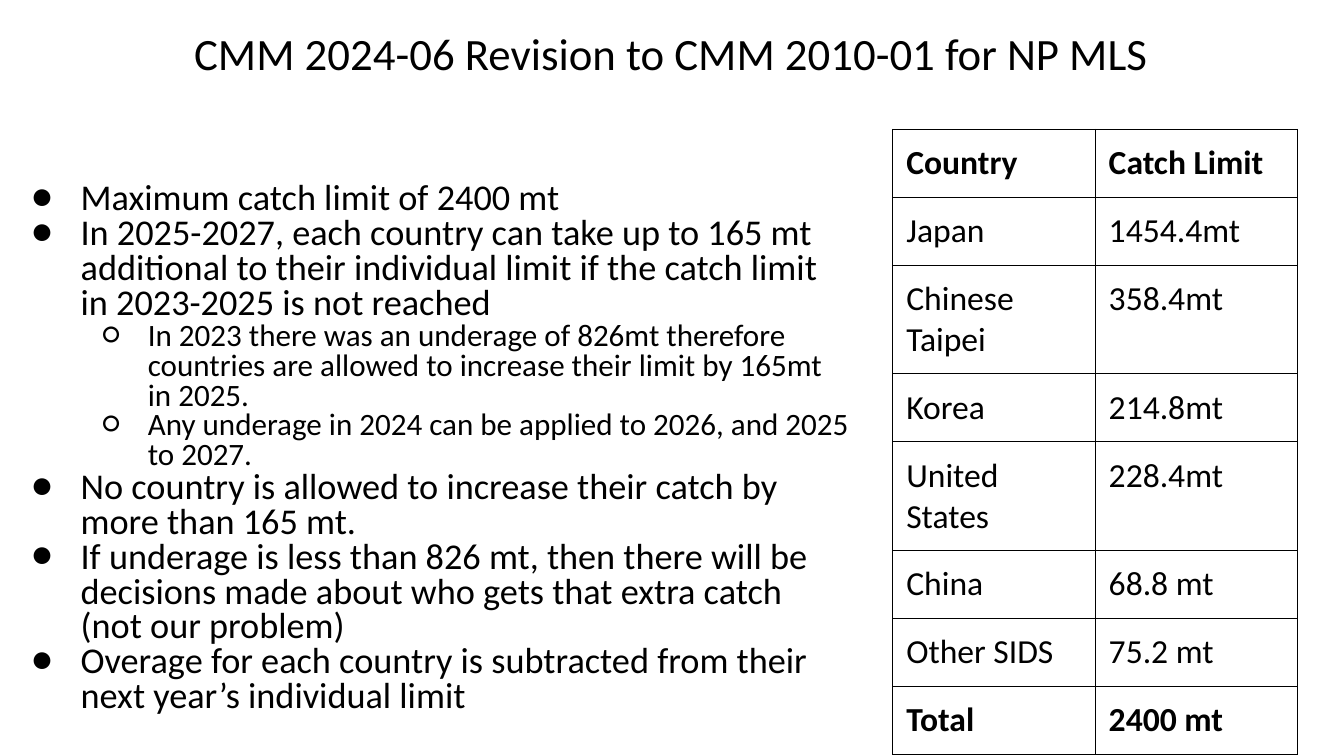
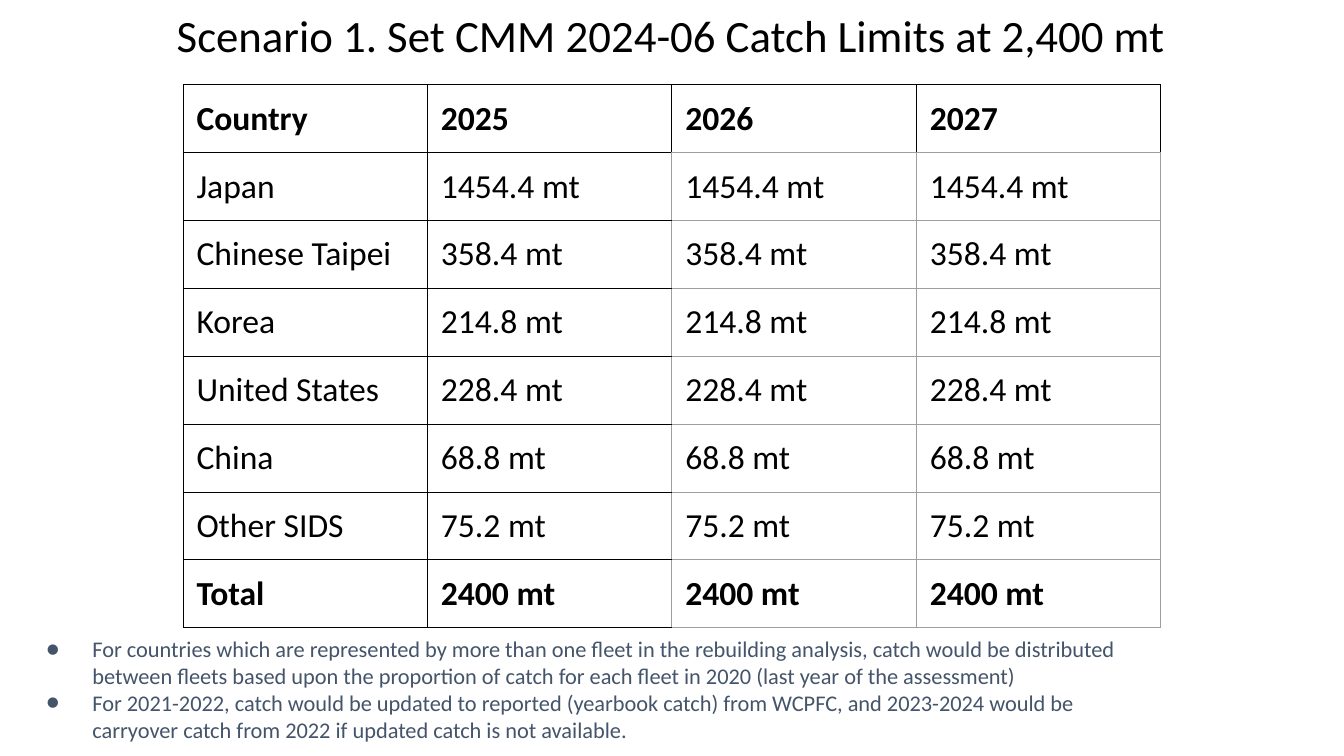
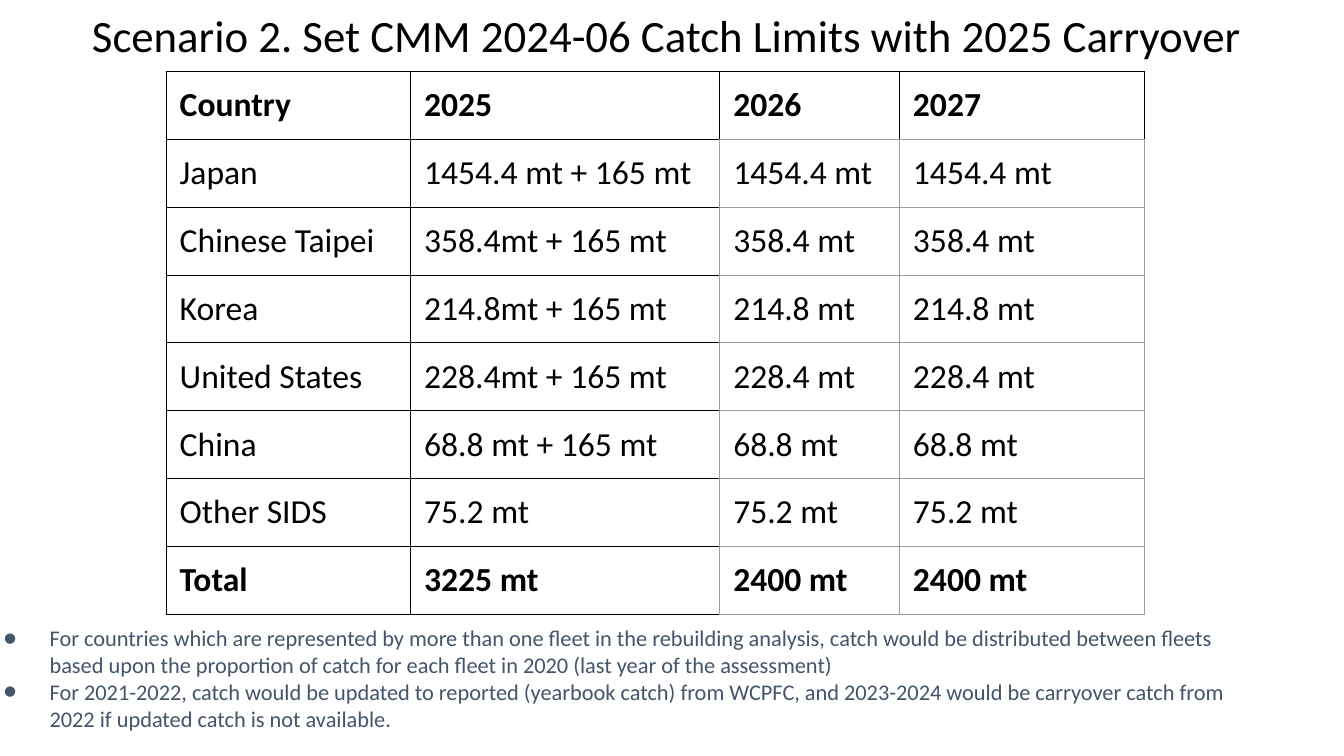
from lxml import etree
from pptx import Presentation
from pptx.dml.color import RGBColor
from pptx.enum.text import MSO_ANCHOR, MSO_AUTO_SIZE, PP_ALIGN
from pptx.oxml.ns import qn
from pptx.util import Pt

PX = 7620  # 120 px to the inch
TOP, CENTER, NO_FIT = MSO_ANCHOR.TOP, PP_ALIGN.CENTER, MSO_AUTO_SIZE.NONE
FONT = "Calibri"
COLORS = {"text": "000000", "note": "44546A", "grid": "000000", "soft_grid": "9E9E9E"}
INSET = 16
ROW, TALL_ROW = 80, 128
LINE_WIDTH = 9525


def style(paragraph, size, color="text", bold=False):
    font = paragraph.font
    font.name, font.size, font.bold = FONT, Pt(size), bold
    font.color.rgb = RGBColor.from_string(COLORS[color])


def prepare(box, place):
    """Place a text shape, fix its insets and return its text frame."""
    box.left, box.top, box.width, box.height = (n * PX for n in place)
    frame = box.text_frame
    frame.word_wrap, frame.auto_size, frame.vertical_anchor = True, NO_FIT, TOP
    frame.margin_left = frame.margin_right = INSET * PX
    frame.margin_top = frame.margin_bottom = INSET * PX
    return frame


countries = ["Japan", "Chinese Taipei", "Korea", "United States", "China", "Other SIDS"]
limits = ["1454.4 mt", "358.4 mt", "214.8 mt", "228.4 mt", "68.8 mt", "75.2 mt"]
names = ["Country", *countries, "Total"]
plain_years = [[year, *limits, "2400 mt"] for year in ("2025", "2026", "2027")]
carryover = ["2025", "1454.4 mt + 165 mt", "358.4mt + 165 mt", "214.8mt + 165 mt",
             "228.4mt + 165 mt", "68.8 mt + 165 mt", "75.2 mt", "3225 mt"]

# Bullet kinds: symbol, level, indent, hanging, size, line spacing, colour
POINT = ("●", 0, 80, 59, 25.9, 0.8, "text")
SUBPOINT = ("○", 1, 160, 54, 22.2, 0.8, "text")
NOTE = ("●", 0, 80, 55, 16, 1.0, "note")

rules = [
    (POINT, "Maximum catch limit of 2400 mt"),
    (POINT, "In 2025-2027, each country can take up to 165 mt additional to their "
            "individual limit if the catch limit in 2023-2025 is not reached"),
    (SUBPOINT, "In 2023 there was an underage of 826mt therefore countries are allowed "
               "to increase their limit by 165mt in 2025."),
    (SUBPOINT, "Any underage in 2024 can be applied to 2026, and 2025 to 2027."),
    (POINT, "No country is allowed to increase their catch by more than 165 mt."),
    (POINT, "If underage is less than 826 mt, then there will be decisions made about "
            "who gets that extra catch (not our problem)"),
    (POINT, "Overage for each country is subtracted from their next year’s individual limit"),
]
notes = [
    (NOTE, "For countries which are represented by more than one fleet in the rebuilding "
           "analysis, catch would be distributed between fleets based upon the proportion "
           "of catch for each fleet in 2020 (last year of the assessment)"),
    (NOTE, "For 2021-2022, catch would be updated to reported (yearbook catch) from WCPFC, "
           "and 2023-2024 would be carryover catch from 2022 if updated catch is not available."),
]

# soft_from is the first column whose body cells have the lighter grid
pages = [
    {"title": "CMM 2024-06 Revision to CMM 2010-01 for NP MLS",
     "title_place": (54, 22, 1490, 101),
     "columns": [names, ["Catch Limit", "1454.4mt", "358.4mt", "214.8mt", "228.4mt",
                         "68.8 mt", "75.2 mt", "2400 mt"]],
     "corner": (1063, 154), "widths": [241, 241], "tall_rows": (2, 4), "soft_from": 3,
     "bullets": rules, "bullets_place": (0, 202, 1028, 698)},
    {"title": "Scenario 1. Set CMM 2024-06 Catch Limits at 2,400 mt",
     "title_place": (54, 0, 1490, 101),
     "columns": [names, *plain_years],
     "corner": (218, 101), "widths": [291] * 4, "tall_rows": (), "soft_from": 2,
     "bullets": notes, "bullets_place": (14, 740, 1367, 160)},
    {"title": "Scenario 2. Set CMM 2024-06 Catch Limits with 2025 Carryover",
     "title_place": (-12, 0, 1612, 101),
     "columns": [names, carryover, *plain_years[1:]],
     "corner": (198, 85), "widths": [291, 368, 214, 291], "tall_rows": (), "soft_from": 2,
     "bullets": notes, "bullets_place": (-37, 727, 1556, 164)},
]

deck = Presentation()
deck.slide_width, deck.slide_height = 1600 * PX, 900 * PX
title_only = deck.slide_layouts[5]

for page in pages:
    slide = deck.slides.add_slide(title_only)

    heading = prepare(slide.shapes.title, page["title_place"]).paragraphs[0]
    heading.text = page["title"]
    heading.alignment, heading.line_spacing = CENTER, 0.9
    style(heading, 32)

    columns, widths, soft_from = page["columns"], page["widths"], page["soft_from"]
    heights = [TALL_ROW if r in page["tall_rows"] else ROW for r in range(len(names))]
    left, top = page["corner"]
    limit_table = slide.shapes.add_table(
        len(names), len(columns), left * PX, top * PX,
        sum(widths) * PX, sum(heights) * PX).table
    limit_table.first_row = limit_table.horz_banding = False
    for r, height in enumerate(heights):
        limit_table.rows[r].height = height * PX
    for c, (column, width) in enumerate(zip(columns, widths)):
        limit_table.columns[c].width = width * PX
        for r, value in enumerate(column):
            cell = limit_table.cell(r, c)
            cell.margin_left = cell.margin_right = INSET * PX
            cell.margin_top = cell.margin_bottom = INSET * PX
            entry = cell.text_frame.paragraphs[0]
            entry.text = value
            style(entry, 24, bold=r in (0, len(names) - 1))
            body = r > 0
            soft_sides = {"L": body and c >= soft_from, "R": body and c + 1 >= soft_from,
                          "T": body and c >= soft_from, "B": c >= soft_from}
            cell_props = cell._tc.get_or_add_tcPr()
            for side, soft in soft_sides.items():
                border = etree.SubElement(cell_props, qn(f"a:ln{side}"), w=str(LINE_WIDTH))
                paint = etree.SubElement(border, qn("a:solidFill"))
                etree.SubElement(paint, qn("a:srgbClr"),
                                 val=COLORS["soft_grid" if soft else "grid"])
            cell.fill.background()

    frame = prepare(slide.shapes.add_textbox(0, 0, PX, PX), page["bullets_place"])
    for i, (kind, sentence) in enumerate(page["bullets"]):
        symbol, level, indent, hanging, size, spacing, color = kind
        bullet = frame.paragraphs[0] if i == 0 else frame.add_paragraph()
        bullet.text, bullet.level, bullet.line_spacing = sentence, level, spacing
        props = bullet._p.get_or_add_pPr()
        props.set("marL", str(indent * PX))
        props.set("indent", str(-hanging * PX))
        bullet_color = etree.SubElement(props, qn("a:buClr"))
        etree.SubElement(bullet_color, qn("a:srgbClr"), val=COLORS[color])
        etree.SubElement(props, qn("a:buFont"), typeface=FONT)
        etree.SubElement(props, qn("a:buChar"), char=symbol)
        style(bullet, size, color)

deck.save("out.pptx")
